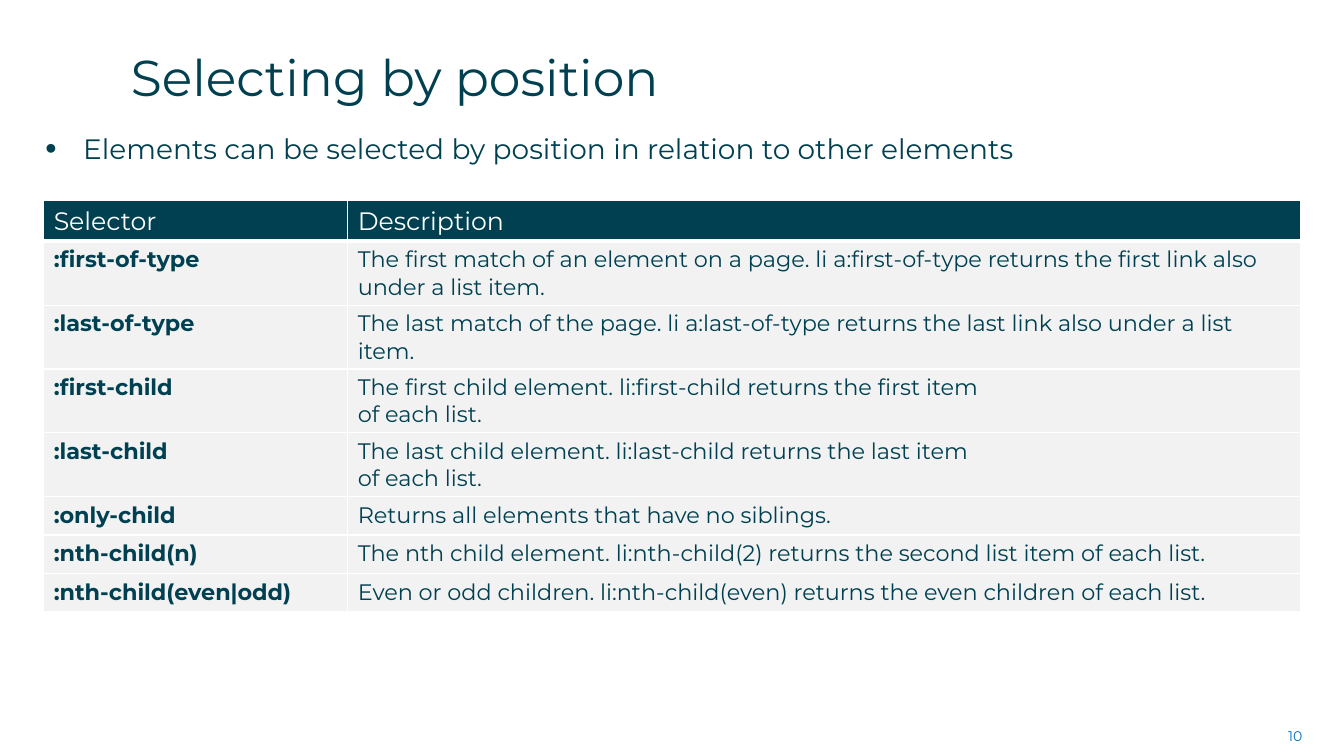
from lxml import etree
from pptx import Presentation
from pptx.dml.color import RGBColor
from pptx.enum.text import MSO_ANCHOR, PP_ALIGN
from pptx.oxml.ns import qn
from pptx.util import Pt

TOP, MIDDLE, BOTTOM = MSO_ANCHOR.TOP, MSO_ANCHOR.MIDDLE, MSO_ANCHOR.BOTTOM
LEFT, RIGHT = PP_ALIGN.LEFT, PP_ALIGN.RIGHT

FONT = "Montserrat"
COLORS = {"teal": "004050", "blue": "0070C0", "white": "FFFFFF", "gray": "F2F2F2"}

TITLE = "Selecting by position"
BULLET = "Elements can be selected by position in relation to other elements"
PAGE_NUMBER = "10"
HEADER = ("Selector", "Description")
SELECTORS = [
    (":first-of-type", "The first match of an element on a page. li a:first-of-type "
                       "returns the first link also under a list item."),
    (":last-of-type", "The last match of the page. li a:last-of-type "
                      "returns the last link also under a list item."),
    (":first-child", "The first child element. li:first-child returns the first item\nof each list."),
    (":last-child", "The last child element. li:last-child returns the last item\nof each list."),
    (":only-child", "Returns all elements that have no siblings."),
    (":nth-child(n)", "The nth child element. li:nth-child(2) returns the second list item of each list."),
    (":nth-child(even|odd)", "Even or odd children. li:nth-child(even) returns the even children of each list."),
]

SLIDE_SIZE = (960, 540)
TABLE_LEFT, TABLE_TOP = 31.2, 143.5
COLUMN_WIDTHS = (217.2, 680.4)
ROW_HEIGHT = 27.4
BORDER_SIDES = ("lnL", "lnR", "lnT", "lnB")


def rgb(name):
    return RGBColor.from_string(COLORS[name])


def write_text(frame, text, size, color, bold=False, **paragraph_format):
    frame.text = text
    for para in frame.paragraphs:
        for name, value in {"alignment": LEFT, **paragraph_format}.items():
            setattr(para, name, value)
        for span in para.runs:
            for name, value in {"name": FONT, "size": Pt(size), "bold": bold}.items():
                setattr(span.font, name, value)
            span.font.color.rgb = rgb(color)


def add_text(page, area, text, size, color, anchor, margins=None, **paragraph_format):
    box = page.shapes.add_textbox(*map(Pt, area))
    frame = box.text_frame
    frame.word_wrap = True
    frame.vertical_anchor = anchor
    if margins is not None:
        for side in ("left", "right", "top", "bottom"):
            setattr(frame, f"margin_{side}", Pt(margins))
    write_text(frame, text, size, color, **paragraph_format)
    return frame.paragraphs[0]


def add_bullet(para, color, indent):
    properties = para._p.get_or_add_pPr()
    properties.set("marL", str(Pt(indent)))
    properties.set("indent", str(-Pt(indent)))
    bullet_color = etree.SubElement(properties, qn("a:buClr"))
    etree.SubElement(bullet_color, qn("a:srgbClr"), val=COLORS[color])
    etree.SubElement(properties, qn("a:buSzPct"), val="115000")
    etree.SubElement(properties, qn("a:buFont"), typeface="Arial")
    etree.SubElement(properties, qn("a:buChar"), char="•")


def add_borders(cell, widths):
    properties = cell._tc.get_or_add_tcPr()
    for side, width in zip(BORDER_SIDES, widths):
        line = etree.SubElement(properties, qn(f"a:{side}"), w=str(Pt(width)))
        fill = etree.SubElement(line, qn("a:solidFill"))
        etree.SubElement(fill, qn("a:srgbClr"), val=COLORS["white"])


def add_selector_table(page):
    rows = [HEADER, *SELECTORS]
    table = page.shapes.add_table(
        len(rows), len(HEADER), Pt(TABLE_LEFT), Pt(TABLE_TOP),
        Pt(sum(COLUMN_WIDTHS)), Pt(ROW_HEIGHT * len(rows))).table
    table.horz_banding = False
    for column, width in zip(table.columns, COLUMN_WIDTHS):
        column.width = Pt(width)
    for row_index, texts in enumerate(rows):
        is_header = row_index == 0
        table.rows[row_index].height = Pt(ROW_HEIGHT)
        for column_index, text in enumerate(texts):
            cell = table.cell(row_index, column_index)
            add_borders(cell, (1, 1, 1, 3 if is_header else 1))
            cell.fill.solid()
            cell.fill.fore_color.rgb = rgb("teal" if is_header else "gray")
            write_text(cell.text_frame, text, 18 if is_header else 16,
                       "white" if is_header else "teal",
                       bold=not is_header and column_index == 0)


def main():
    deck = Presentation()
    deck.slide_width, deck.slide_height = map(Pt, SLIDE_SIZE)
    page = deck.slides.add_slide(deck.slide_layouts[6])
    add_text(page, (713.5, 511.2, 223.9, 28.8), PAGE_NUMBER, 10, "blue", MIDDLE, alignment=RIGHT)
    bullet = add_text(page, (32.4, 95.8, 897.8, 414), BULLET, 20, "teal", TOP, margins=0,
                      line_spacing=Pt(22), space_before=Pt(6), space_after=Pt(6))
    add_bullet(bullet, "teal", 27)
    add_text(page, (86.4, 30.2, 843.8, 49.7), TITLE, 36, "teal", BOTTOM, line_spacing=Pt(42))
    add_selector_table(page)
    deck.save("out.pptx")


if __name__ == "__main__":
    main()
